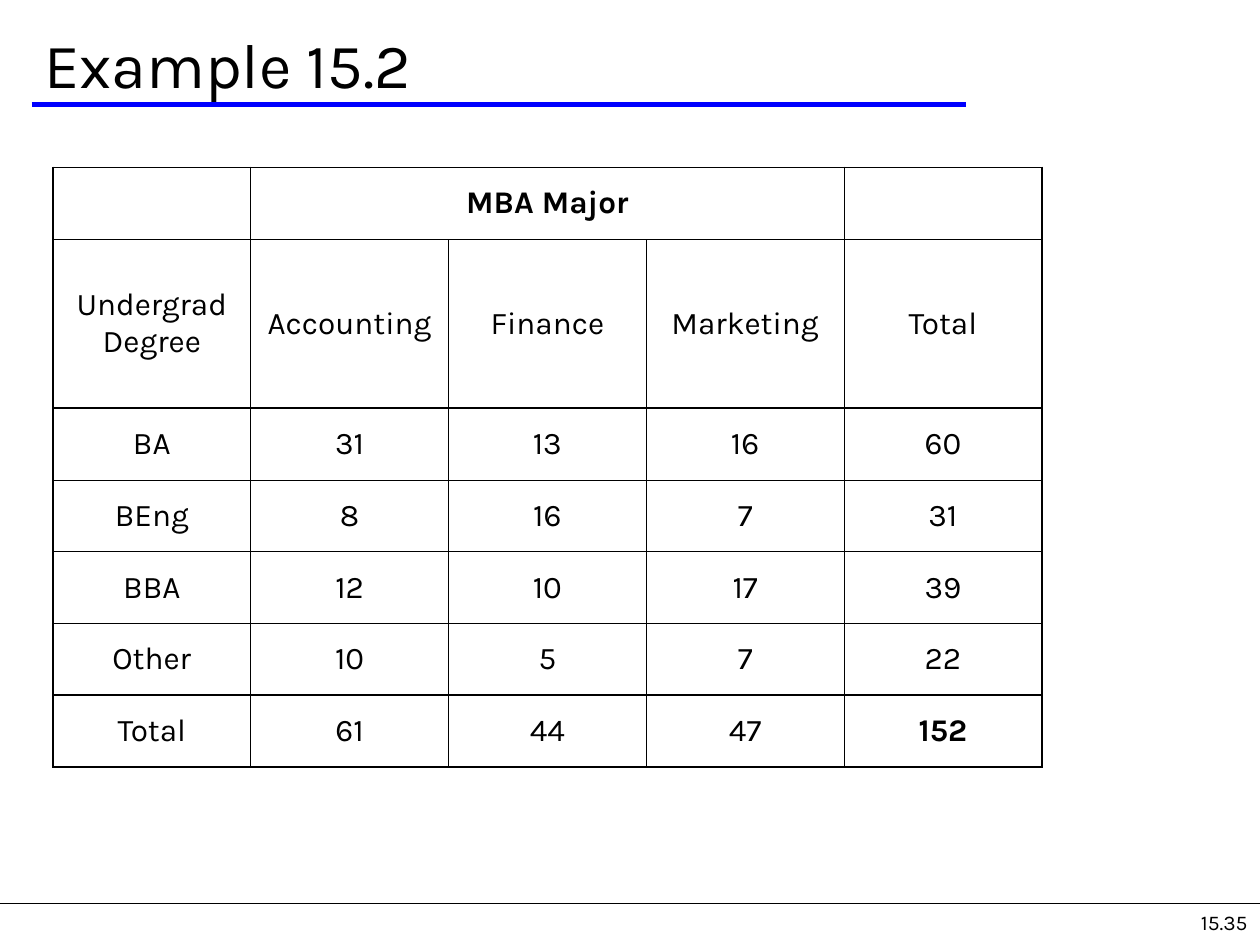
import pptx
import pptx.dml.color
import pptx.enum.shapes
import pptx.enum.text
import pptx.oxml.ns
import pptx.util
from lxml import etree

Inches = pptx.util.Inches
Pt = pptx.util.Pt
qn = pptx.oxml.ns.qn
ALIGN = pptx.enum.text.PP_ALIGN
MIDDLE = pptx.enum.text.MSO_ANCHOR.MIDDLE

COLORS = {"ink": "000000", "accent": "0000FF"}

HEADERS = ["Undergrad Degree", "Accounting", "Finance", "Marketing", "Total"]
COUNTS = [
    ["BA", 31, 13, 16, 60],
    ["BEng", 8, 16, 7, 31],
    ["BBA", 12, 10, 17, 39],
    ["Other", 10, 5, 7, 22],
    ["Total", 61, 44, 47, 152],
]


class SlideBuilder:
    font = "Karla"
    thin, outer, heavy = 0.45, 1.08, 1.47

    def __init__(self, page):
        self.page = page

    def color(self, name):
        return pptx.dml.color.RGBColor.from_string(COLORS[name])

    def set_text(self, frame, text, size, align, bold=False):
        frame.text = text
        para = frame.paragraphs[0]
        para.alignment = align
        for span in para.runs:
            span.font.name = self.font
            span.font.size = Pt(size)
            span.font.bold = bold
            span.font.color.rgb = self.color("ink")

    def rule(self, left, right, top, color, width):
        line = self.page.shapes.add_connector(
            pptx.enum.shapes.MSO_CONNECTOR.STRAIGHT,
            Inches(left), Inches(top), Inches(right), Inches(top))
        line.line.color.rgb = self.color(color)
        line.line.width = Pt(width)
        etree.SubElement(line._element.spPr, qn("a:effectLst"))

    def title(self, text, left, top, width, height):
        box = self.page.shapes.title
        box.left, box.top = Inches(left), Inches(top)
        box.width, box.height = Inches(width), Inches(height)
        frame = box.text_frame
        frame.auto_size = pptx.enum.text.MSO_AUTO_SIZE.NONE
        frame.vertical_anchor = MIDDLE
        self.set_text(frame, text, 36, ALIGN.LEFT)

    def label(self, text, left, top, width, height):
        box = self.page.shapes.add_textbox(
            Inches(left), Inches(top), Inches(width), Inches(height))
        box.text_frame.word_wrap = True
        self.set_text(box.text_frame, text, 12, ALIGN.RIGHT)

    def borders(self, cell, widths):
        properties = cell._tc.get_or_add_tcPr()
        for side, width in zip(("L", "R", "T", "B"), widths):
            line = etree.SubElement(properties, qn(f"a:ln{side}"), w=str(Pt(width)))
            fill = etree.SubElement(line, qn("a:solidFill"))
            etree.SubElement(fill, qn("a:srgbClr"), val=COLORS["ink"])

    def table(self, rows, bold_cells, left, top, column_width, row_heights):
        columns = len(rows[0])
        table = self.page.shapes.add_table(
            len(rows), columns, Inches(left), Inches(top),
            Inches(column_width * columns), Inches(sum(row_heights))).table
        table.first_row = table.horz_banding = False
        for column in table.columns:
            column.width = Inches(column_width)
        for row, height in zip(table.rows, row_heights):
            row.height = Inches(height)
        table.cell(0, 1).merge(table.cell(0, 3))

        # Line weights across the grid, from the first edge to the last
        across = [self.outer] + [self.thin] * (columns - 1) + [self.outer]
        down = [self.outer, self.thin, self.heavy] + [self.thin] * 3 + [self.heavy, self.outer]
        for r, values in enumerate(rows):
            for c, value in enumerate(values):
                cell = table.cell(r, c)
                if not cell.is_spanned:
                    self.borders(cell, (across[c], across[c + 1], down[r], down[r + 1]))
                    self.set_text(cell.text_frame, str(value), 18, ALIGN.CENTER,
                                  (r, c) in bold_cells)
                cell.vertical_anchor = MIDDLE
                cell.fill.background()


def main():
    deck = pptx.Presentation()
    deck.slide_width, deck.slide_height = Inches(10), Inches(7.5)
    builder = SlideBuilder(deck.slides.add_slide(deck.slide_layouts[5]))

    # Title and rules
    builder.rule(0, 10, 7.17, "ink", 0.75)
    builder.rule(0.25, 7.67, 0.83, "accent", 2.5)
    builder.title("Example 15.2", 0.25, 0.17, 9.58, 0.67)

    # Page number
    builder.label("15.35", 7.92, 7.17, 2.08, 0.33)

    # Degree by major counts
    rows = [["", "MBA Major", "", "", ""], HEADERS] + COUNTS
    builder.table(rows, {(0, 1), (6, 4)}, 0.42, 1.33, 1.57, [0.57, 1.34] + [0.57] * 5)

    deck.save("out.pptx")


if __name__ == "__main__":
    main()
